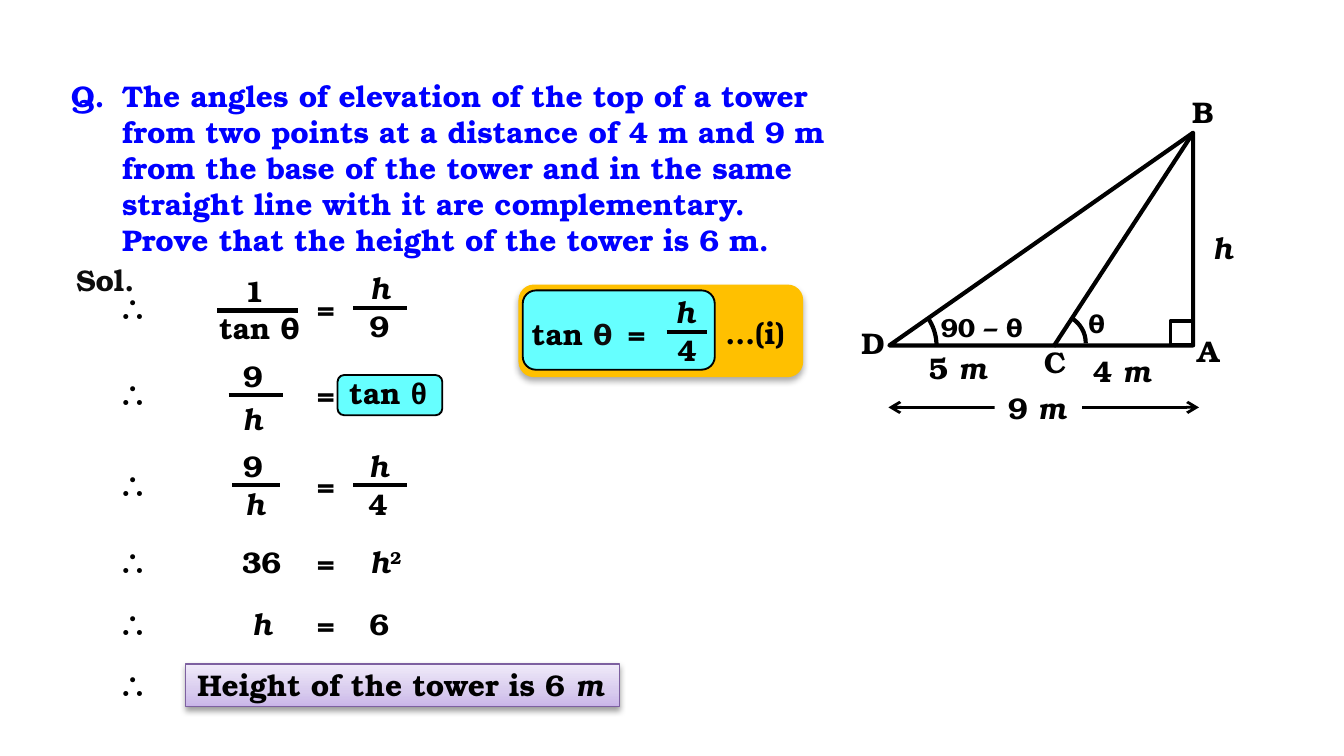
from dataclasses import dataclass

from lxml import etree
from pptx import Presentation
from pptx import util as u
from pptx.dml.color import RGBColor
from pptx.enum import shapes, text
from pptx.oxml.ns import qn


@dataclass(frozen=True)
class Theme:
    font: str = "TeX Gyre Bonum"
    symbol_font: str = "Arial"
    body: int = 16
    small: int = 14
    ink: str = "000000"
    soft_ink: str = "0D0D0D"
    question: str = "0000FF"
    highlight: str = "66FFFF"
    panel: str = "FFC000"
    paper: str = "FFFFFF"
    answer_border: str = "7D60A0"
    answer_stops: tuple = ((0, "C9B5E8"), (0.35, "D8CBEE"), (1, "F0EAF9"))
    stroke: float = 2.25


THEME = Theme()
SHAPE = shapes.MSO_SHAPE
ITALIC = {"italic": True}
H = [("h", ITALIC)]
QUESTION = (
    "The angles of elevation of the top of a tower",
    "from two points at a distance of 4 m and 9 m",
    "from the base of the tower and in the same",
    "straight line with it are complementary.",
    "Prove that the height of the tower is 6 m.",
)


def metres(lead):
    return [(lead + " ", {}), ("m", ITALIC)]


class Board:
    def __init__(self, slide, theme):
        self.slide = slide
        self.theme = theme

    def style(self, run, size=None, color=None, font=None, italic=False, raised=False):
        run.font.name = font or self.theme.font
        run.font.size = u.Pt(size or self.theme.body)
        run.font.bold = True
        run.font.italic = italic
        run.font.color.rgb = RGBColor.from_string(color or self.theme.ink)
        if raised:
            run.font._element.set("baseline", "30000")

    def box(self, x, y, width, height):
        box = self.slide.shapes.add_textbox(u.Cm(x), u.Cm(y), u.Cm(width), u.Cm(height))
        box.text_frame.word_wrap = True
        box.text_frame.auto_size = text.MSO_AUTO_SIZE.SHAPE_TO_FIT_TEXT
        return box.text_frame

    def label(self, parts, x, y, width=0.89, **style):
        height = 0.86 if style.get("size") == self.theme.small else 0.94
        paragraph = self.box(x, y, width, height).paragraphs[0]
        for words, extra in [(parts, {})] if isinstance(parts, str) else parts:
            run = paragraph.add_run()
            run.text = words
            self.style(run, **{**style, **extra})

    def question(self, lines, x, y, width, height):
        frame = self.box(x, y, width, height)
        frame.text = "\n".join(lines)
        for index, paragraph in enumerate(frame.paragraphs):
            properties = paragraph._p.get_or_add_pPr()
            properties.set("marL", str(u.Cm(0.97)))
            properties.set("indent", str(0 if index else -u.Cm(0.97)))
            if index == 0:
                font = etree.SubElement(properties, qn("a:buFont"))
                font.set("typeface", self.theme.font)
                number = etree.SubElement(properties, qn("a:buAutoNum"))
                number.set("type", "alphaUcPeriod")
                number.set("startAt", "17")
            self.style(paragraph.runs[0], color=self.theme.question)

    def line(self, x1, y1, x2, y2, weight=None, arrows=False):
        line = self.slide.shapes.add_connector(
            shapes.MSO_CONNECTOR.STRAIGHT, u.Cm(x1), u.Cm(y1), u.Cm(x2), u.Cm(y2))
        line.line.color.rgb = RGBColor.from_string(self.theme.ink)
        line.line.width = u.Pt(weight or self.theme.stroke)
        if arrows:
            for end in ("a:headEnd", "a:tailEnd"):
                etree.SubElement(line.line._get_or_add_ln(), qn(end)).set("type", "arrow")
        etree.SubElement(line._element.spPr, qn("a:effectLst"))

    def shape(self, kind, x, y, width, height, fill=None, border=None, weight=1):
        shape = self.slide.shapes.add_shape(kind, u.Cm(x), u.Cm(y), u.Cm(width), u.Cm(height))
        shape.shadow.inherit = False
        if fill:
            shape.fill.solid()
            shape.fill.fore_color.rgb = RGBColor.from_string(fill)
        else:
            shape.fill.background()
        if border:
            shape.line.color.rgb = RGBColor.from_string(border)
            shape.line.width = u.Pt(weight)
        else:
            shape.line.fill.background()
        return shape

    def shadow(self, shape, opacity, blur, distance):
        effects = shape._element.spPr.find(qn("a:effectLst"))
        outer = etree.SubElement(effects, qn("a:outerShdw"))
        outer.set("blurRad", str(u.Pt(blur)))
        outer.set("dist", str(u.Pt(distance)))
        outer.set("dir", "5400000")
        outer.set("rotWithShape", "0")
        color = etree.SubElement(outer, qn("a:srgbClr"))
        color.set("val", self.theme.ink)
        etree.SubElement(color, qn("a:alpha")).set("val", str(opacity * 1000))

    def gradient(self, shape, stops):
        shape.fill.gradient()
        shape.fill.gradient_angle = 90
        stop_list = shape._element.spPr.find(".//" + qn("a:gsLst"))
        for stop in list(stop_list):
            stop_list.remove(stop)
        for position, color in stops:
            stop = etree.SubElement(stop_list, qn("a:gs"))
            stop.set("pos", str(int(position * 100000)))
            etree.SubElement(stop, qn("a:srgbClr")).set("val", color)

    def fraction(self, top, bottom, bar, top_x, bottom_x, bottom_width=0.89, drop=-0.12):
        x, y, width = bar
        self.label(top, top_x, y - 0.84)
        self.line(x, y, x + width, y)
        self.label(bottom, bottom_x, y + drop, bottom_width)

    def arc(self, x, y, size, start, end):
        arc = self.shape(SHAPE.ARC, x, y, size, size, border=self.theme.ink,
                         weight=self.theme.stroke)
        arc.adjustments[0] = start
        arc.adjustments[1] = end


def draw_solution(board):
    theme = board.theme
    board.question(QUESTION, 1.09, 1.35, 15.54, 3.68)
    board.label("Sol.", 1.19, 4.83, 1.75, color=theme.soft_ink)

    board.shape(SHAPE.ROUNDED_RECTANGLE, 6.38, 7.09, 1.98, 0.76, theme.highlight, theme.ink)
    answer = board.shape(SHAPE.RECTANGLE, 3.51, 12.55, 8.2, 0.81,
                         border=theme.answer_border, weight=0.75)
    board.gradient(answer, theme.answer_stops)
    board.shadow(answer, 38, 3.1, 1.6)

    rows = (5.35, 6.97, 8.7, 10.16, 11.33, 12.47)
    for y in rows:
        board.label("∴", 1.98, y, 1.07)
    for y in rows[:-1]:
        board.label("=", 5.74, y, 0.79)

    board.fraction("1", "tan θ", (4.11, 5.87, 1.52), 4.37, 3.89, 2.24, -0.15)
    board.fraction(H, "9", (6.68, 5.82, 1.02), 6.73, 6.73)
    board.fraction("9", H, (4.32, 7.47, 1.02), 4.34, 4.32, drop=-0.03)
    board.label([("tan ", {}), ("θ", {"font": theme.symbol_font})], 6.35, 6.96, 2.82)
    board.fraction("9", H, (4.39, 9.17, 0.91), 4.34, 4.37)
    board.fraction(H, "4", (6.68, 9.17, 1.02), 6.71, 6.71)
    board.label("36", 4.32, rows[3], 1.35)
    board.label(H + [("2", {"raised": True})], 6.73, rows[3], 1.22)
    board.label(H, 4.5, rows[4])
    board.label("6", 6.73, rows[4], 1.04)
    board.label(metres("Height of the tower is 6"), 3.48, rows[5], 8.28)


def draw_result(board):
    theme = board.theme
    panel = board.shape(SHAPE.ROUNDED_RECTANGLE, 9.8, 5.38, 5.38, 1.75, theme.panel)
    board.shadow(panel, 32, 3.5, 2.2)
    board.shape(SHAPE.ROUNDED_RECTANGLE, 9.88, 5.49, 3.63, 1.5, theme.highlight, theme.ink)
    board.label([("tan ", {}), ("θ", {"color": theme.soft_ink})], 9.8, 5.84, 2.12)
    board.label("=", 11.61, 5.82, 0.79)
    board.fraction(H, "4", (12.6, 6.27, 0.76), 12.5, 12.55)
    board.label("…(i)", 13.46, 5.82, 1.72)


def draw_triangle(board):
    theme = board.theme
    board.shape(SHAPE.RECTANGLE, 22.12, 6.07, 0.43, 0.46, border=theme.ink, weight=2)
    board.line(16.79, 7.7, 22.66, 7.7, 1.5, arrows=True)
    board.shape(SHAPE.RECTANGLE, 18.8, 7.21, 1.65, 0.91, theme.paper)
    tower = board.shape(SHAPE.RIGHT_TRIANGLE, 16.81, 2.51, 5.74, 4.02,
                        border=theme.ink, weight=theme.stroke)
    tower._element.spPr.find(qn("a:xfrm")).set("flipH", "1")
    board.line(22.55, 2.51, 19.91, 6.55)
    board.arc(15.85, 5.61, 1.85, 194.64, 0.3)
    board.arc(19.43, 5.94, 1.09, 180.86, 0.43)

    for name, x, y in (("B", 22.28, 1.65), ("A", 22.38, 6.17),
                       ("D", 16.03, 6.02), ("C", 19.48, 6.38)):
        board.label(name, x, y, 0.91)
    for distance, x, y in (("5", 17.3, 6.48), ("4", 20.4, 6.55), ("9", 18.8, 7.24)):
        board.label(metres(distance), x, y, 1.75)
    board.label(H, 22.66, 4.22, 0.97)
    board.label("90 – θ", 17.53, 5.77, 2.15, size=theme.small)
    board.label("θ", 20.32, 5.69, 0.76, size=theme.small)


def main():
    presentation = Presentation()
    presentation.slide_width = u.Cm(25.4)
    presentation.slide_height = u.Cm(14.29)
    slide = presentation.slides.add_slide(presentation.slide_layouts[6])
    board = Board(slide, THEME)
    draw_solution(board)
    draw_result(board)
    draw_triangle(board)
    presentation.save("out.pptx")


if __name__ == "__main__":
    main()
